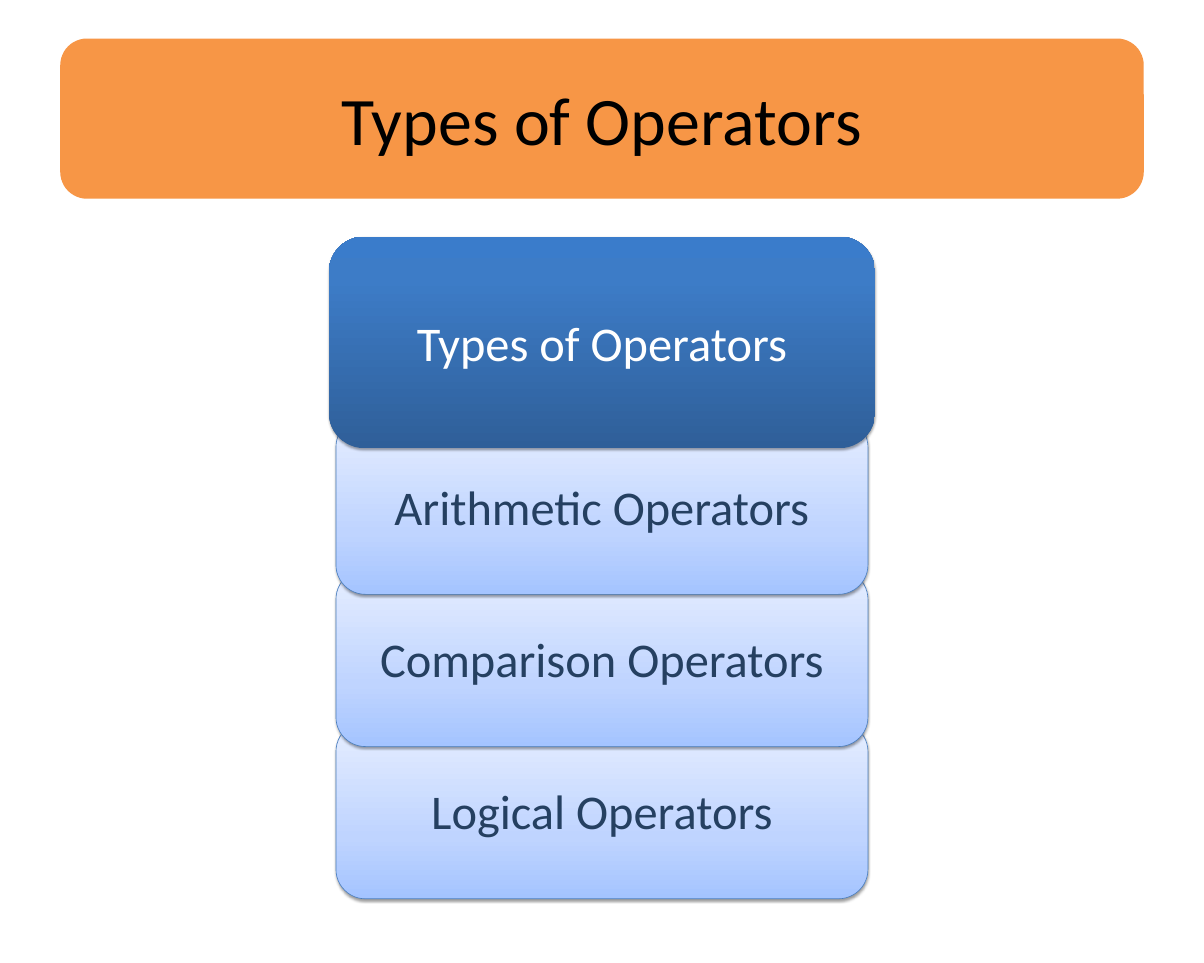
import pptx
import pptx.util
import pptx.dml.color
import pptx.enum.shapes
import pptx.enum.text
import pptx.oxml
import pptx.oxml.ns
from lxml import etree

Inches = pptx.util.Inches
Pt = pptx.util.Pt

TITLE = "Types of Operators"
ROOT = "Types of Operators"
KINDS = ["Arithmetic Operators", "Comparison Operators", "Logical Operators"]

COLORS = {
    "banner": "F79646",
    "title": "000000",
    "root_text": "FFFFFF",
    "kind_text": "254061",
    "kind_line": "4B7EBC",
    "shadow": "000000",
}
ROOT_STOPS = [(0, "2F5F99"), (80, "3D7CC7"), (100, "3A7CCB")]
KIND_STOPS = [(0, "A4C4FF"), (35, "BFD4FF"), (100, "E6EEFF")]

PAGE_WIDTH, PAGE_HEIGHT = 19.69, 15.75
KIND_TOP, KIND_STEP = 6.83, 2.49


def rgb(value):
    return pptx.dml.color.RGBColor.from_string(value)


def write_text(box, text, *, size, color):
    frame = box.text_frame
    frame.word_wrap = True
    frame.vertical_anchor = pptx.enum.text.MSO_ANCHOR.MIDDLE
    frame.margin_left = frame.margin_right = Inches(0.2)
    frame.margin_top = frame.margin_bottom = Inches(0.1)
    para = frame.paragraphs[0]
    para.alignment = pptx.enum.text.PP_ALIGN.CENTER
    span = para.add_run()
    span.text = text
    span.font.name = "Calibri"
    span.font.size = Pt(size)
    span.font.color.rgb = rgb(color)


def add_box(page, top, width, height):
    box = page.shapes.add_shape(
        pptx.enum.shapes.MSO_SHAPE.ROUNDED_RECTANGLE,
        Inches((PAGE_WIDTH - width) / 2), Inches(top), Inches(width), Inches(height))
    box.shadow.inherit = False
    box.line.fill.background()
    return box


def add_child(parent, tag, **attributes):
    child = etree.SubElement(parent, pptx.oxml.ns.qn(tag))
    for name, value in attributes.items():
        child.set(name, str(value))
    return child


def fill_gradient(box, stops):
    box.fill.gradient()
    box.fill.gradient_angle = 90
    stop_list = box.element.spPr.find(".//" + pptx.oxml.ns.qn("a:gsLst"))
    for stop in list(stop_list):
        stop_list.remove(stop)
    for position, color in stops:
        stop = add_child(stop_list, "a:gs", pos=position * 1000)
        add_child(stop, "a:srgbClr", val=color)


def add_shadow(box, opacity, distance):
    effects = box.element.spPr.find(pptx.oxml.ns.qn("a:effectLst"))
    shadow = add_child(effects, "a:outerShdw", blurRad=Pt(3.1), dist=Pt(distance),
                       dir=90 * 60000, rotWithShape=0)
    color = add_child(shadow, "a:srgbClr", val=COLORS["shadow"])
    add_child(color, "a:alpha", val=opacity * 1000)


def main():
    deck = pptx.Presentation()
    deck.slide_width = Inches(PAGE_WIDTH)
    deck.slide_height = Inches(PAGE_HEIGHT)
    page = deck.slides.add_slide(deck.slide_layouts[6])

    for index, kind in reversed(list(enumerate(KINDS))):
        card = add_box(page, KIND_TOP + index * KIND_STEP, 8.7, 2.89)
        fill_gradient(card, KIND_STOPS)
        card.line.color.rgb = rgb(COLORS["kind_line"])
        card.line.width = Pt(0.75)
        add_shadow(card, 38, 1.6)
        write_text(card, kind, size=57, color=COLORS["kind_text"])

    root = add_box(page, 3.87, 8.93, 3.46)
    fill_gradient(root, ROOT_STOPS)
    add_shadow(root, 35, 1.8)
    write_text(root, ROOT, size=57, color=COLORS["root_text"])

    banner = add_box(page, 0.63, 17.72, 2.62)
    banner.fill.solid()
    banner.fill.fore_color.rgb = rgb(COLORS["banner"])
    write_text(banner, TITLE, size=80, color=COLORS["title"])

    deck.save("out.pptx")


if __name__ == "__main__":
    main()
